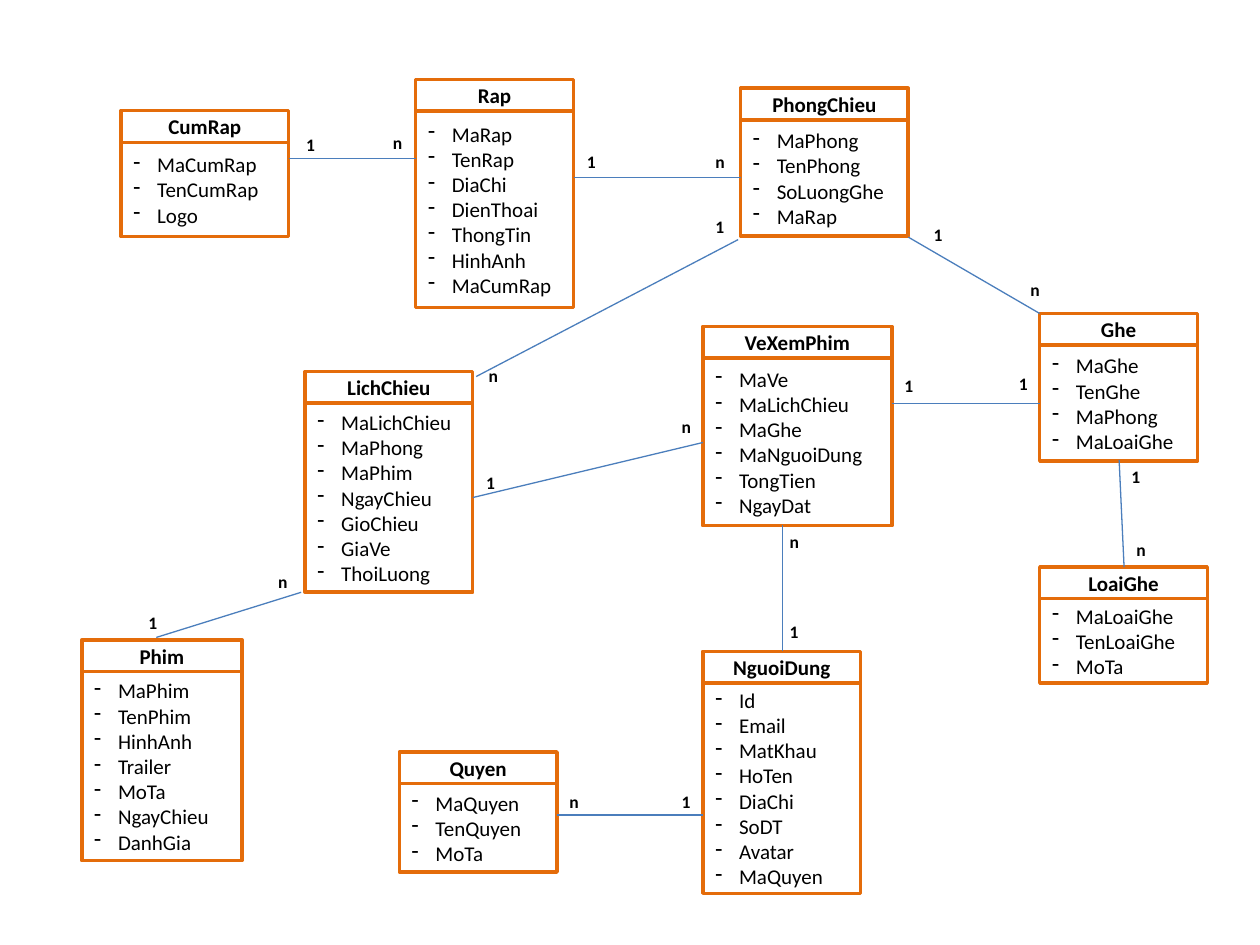
"""Draws the table diagram of a cinema ticket database."""
from lxml.etree import SubElement
from pptx import Presentation
from pptx.dml.color import RGBColor
from pptx.enum.shapes import MSO_CONNECTOR, MSO_SHAPE
from pptx.enum.text import MSO_ANCHOR, MSO_AUTO_SIZE, PP_ALIGN
from pptx.oxml.ns import qn
from pptx.util import Cm, Pt


def hue(code):
    return RGBColor.from_string(code)


def write(frame, text, size=12, bold=False, align=PP_ALIGN.LEFT, bullet=None):
    for num, line in enumerate(text.split("\n")):
        para = frame.add_paragraph() if num else frame.paragraphs[0]
        para.alignment = align
        run = para.add_run()
        run.text = line
        run.font.name = "Calibri"
        run.font.size = Pt(size)
        run.font.bold = bold
        run.font.color.rgb = hue("000000")
        if bullet:
            props = para._p.get_or_add_pPr()
            props.set("marL", str(Cm(0.48)))
            props.set("indent", str(-Cm(0.48)))
            SubElement(props, qn("a:buFontTx"))
            SubElement(props, qn("a:buChar")).set("char", bullet)


deck = Presentation()
deck.slide_width = Cm(25.4)
deck.slide_height = Cm(19.05)
slide = deck.slides.add_slide(deck.slide_layouts[6])
shapes = slide.shapes

HEAD = 0.64
tables = [
    ("CumRap", 2.44, 2.23, 3.38, 1.9, "MaCumRap TenCumRap Logo"),
    ("Rap", 8.38, 1.6, 3.18, 3.96,
     "MaRap TenRap DiaChi DienThoai ThongTin HinhAnh MaCumRap"),
    ("PhongChieu", 14.93, 1.78, 3.38, 2.34,
     "MaPhong TenPhong SoLuongGhe MaRap"),
    ("Quyen", 8.05, 15.16, 3.18, 1.78, "MaQuyen TenQuyen MoTa"),
    ("NguoiDung", 14.17, 13.13, 3.18, 4.24,
     "Id Email MatKhau HoTen DiaChi SoDT Avatar MaQuyen"),
    ("LoaiGhe", 20.96, 11.43, 3.38, 1.7, "MaLoaiGhe TenLoaiGhe MoTa"),
    ("Ghe", 20.96, 6.32, 3.18, 2.34, "MaGhe TenGhe MaPhong MaLoaiGhe"),
    ("Phim", 1.65, 12.9, 3.23, 3.81,
     "MaPhim TenPhim HinhAnh Trailer MoTa NgayChieu DanhGia"),
    ("LichChieu", 6.15, 7.49, 3.38, 3.81,
     "MaLichChieu MaPhong MaPhim NgayChieu GioChieu GiaVe ThoiLuong"),
    ("VeXemPhim", 14.17, 6.58, 3.81, 3.38,
     "MaVe MaLichChieu MaGhe MaNguoiDung TongTien NgayDat"),
]
for name, left, top, width, height, fields in tables:
    parts = [
        (top + HEAD, height, fields.replace(" ", "\n"), {"bullet": "-"}),
        (top, HEAD, name, {"bold": True, "align": PP_ALIGN.CENTER}),
    ]
    for y, tall, text, style in parts:
        box = shapes.add_shape(
            MSO_SHAPE.RECTANGLE, Cm(left), Cm(y), Cm(width), Cm(tall))
        box.shadow.inherit = False
        box.fill.background()
        box.line.color.rgb = hue("E46C0A")
        box.line.width = Pt(2)
        box.text_frame.word_wrap = True
        box.text_frame.vertical_anchor = MSO_ANCHOR.MIDDLE
        write(box.text_frame, text, **style)

links = [
    ((5.82, 3.2, 8.38, 3.2), ("1", 5.92, 2.57), ("n", 7.67, 2.54)),
    ((11.58, 3.58, 14.93, 3.58), ("1", 11.58, 2.92), ("n", 14.17, 2.92)),
    ((18.31, 4.78, 20.96, 6.32), ("1", 18.57, 4.39), ("n", 20.52, 5.51)),
    ((22.66, 11.43, 22.56, 9.27), ("n", 22.66, 10.74), ("1", 22.56, 9.27)),
    ((14.88, 4.83, 9.6, 7.59), ("1", 14.17, 4.24), ("n", 9.6, 7.24)),
    ((3.15, 12.85, 6.07, 11.94), ("1", 2.74, 12.22), ("n", 5.36, 11.38)),
    ((11.23, 16.43, 14.17, 16.43), ("n", 11.23, 15.82), ("1", 13.49, 15.82)),
    ((9.53, 10.03, 14.17, 8.92), ("1", 9.55, 9.4), ("n", 13.49, 8.26)),
    ((15.77, 13.13, 15.77, 10.59), ("1", 15.67, 12.4), ("n", 15.67, 10.57)),
    ((17.98, 8.13, 20.96, 8.13), ("1", 17.98, 7.44), ("1", 20.29, 7.39)),
]
for ends, *marks in links:
    link = shapes.add_connector(
        MSO_CONNECTOR.STRAIGHT, *[Cm(end) for end in ends])
    link.line.color.rgb = hue("4B7EBC")
    link.line.width = Pt(0.75)
    SubElement(link._element.spPr, qn("a:effectLst"))
    for text, left, top in marks:
        mark = shapes.add_textbox(Cm(left), Cm(top), Cm(0.7), Cm(0.68))
        mark.text_frame.word_wrap = False
        mark.text_frame.auto_size = MSO_AUTO_SIZE.SHAPE_TO_FIT_TEXT
        write(mark.text_frame, text, size=10, bold=True)

deck.save("out.pptx")
